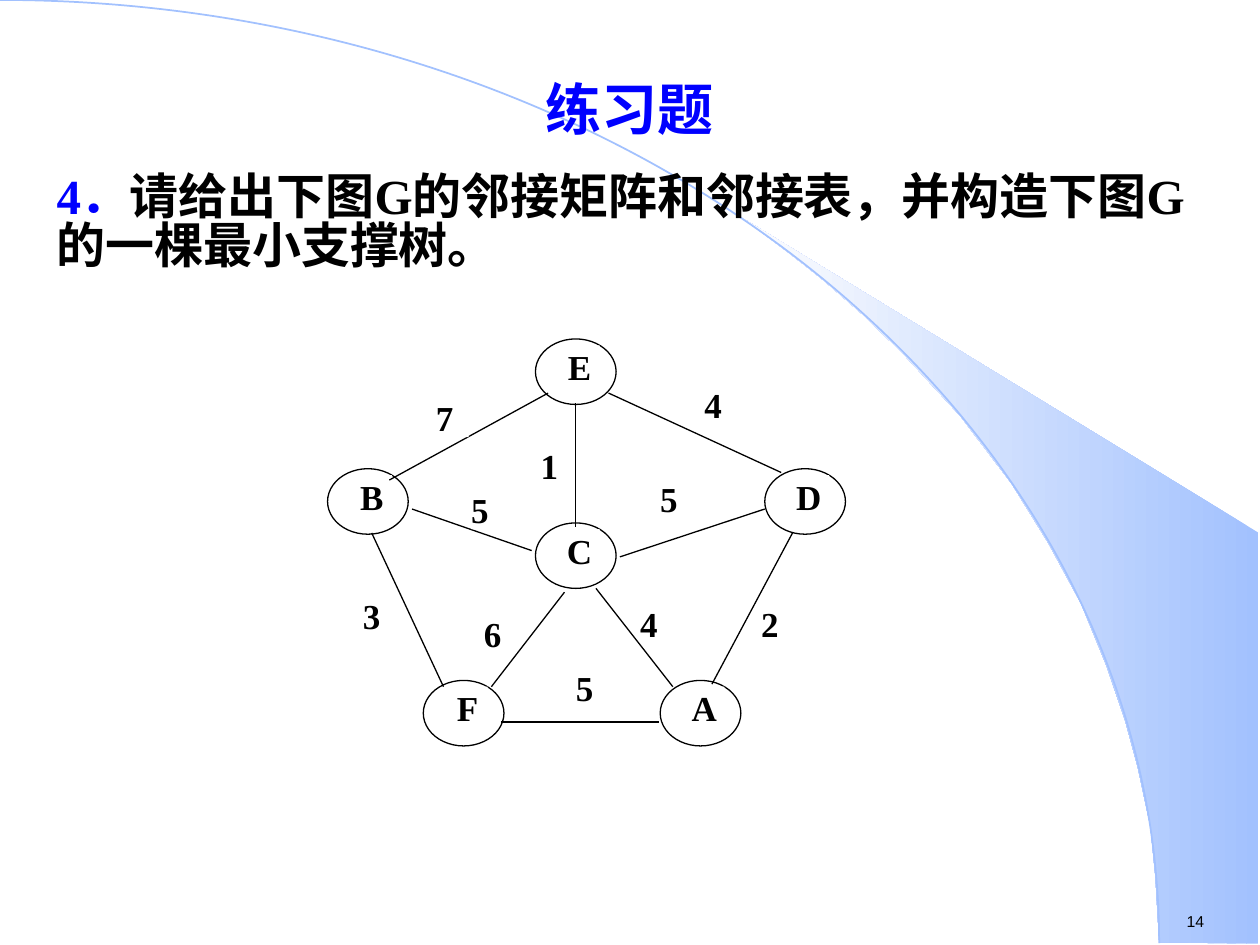
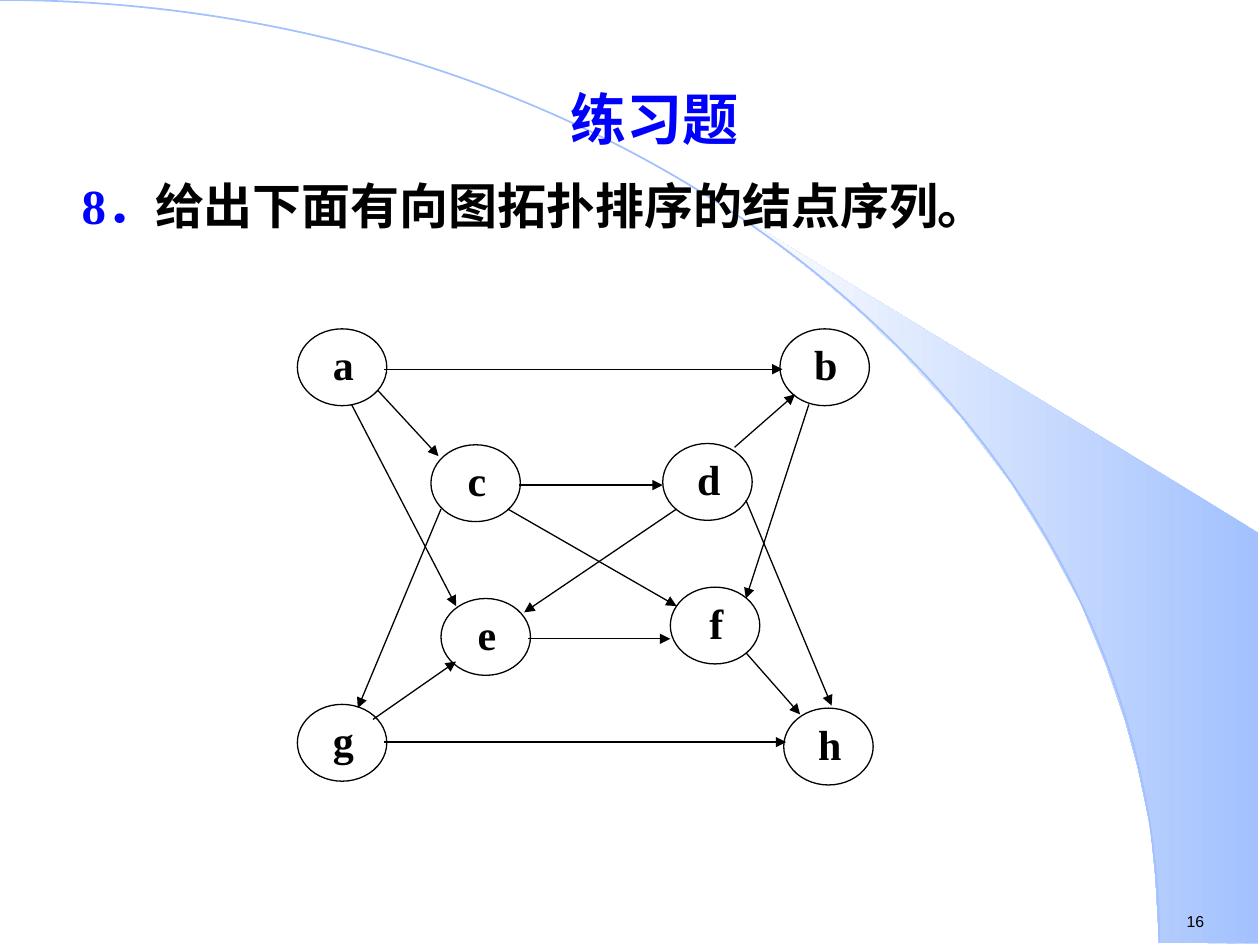
from lxml import etree
from pptx import Presentation
from pptx.dml.color import RGBColor
from pptx.enum.shapes import MSO_CONNECTOR, MSO_SHAPE
from pptx.enum.text import PP_ALIGN
from pptx.oxml.ns import qn
from pptx.util import Pt

PX = 9144  # 100 px to the inch
LINE = MSO_CONNECTOR.STRAIGHT
ARC, OVAL = MSO_SHAPE.ARC, MSO_SHAPE.OVAL
LEFT, CENTER = PP_ALIGN.LEFT, PP_ALIGN.CENTER
JUSTIFY = PP_ALIGN.JUSTIFY

COLORS = {"white": "FFFFFF", "ink": "000000", "title": "0000FF",
          "band": "A2C1FE", "band_end": "FEFEFE"}
SERIF, SANS, CJK = "Times New Roman", "Arial", "Noto Sans CJK SC"

BAND = [(920, 748), (999, 749), (999, 423), (589, 173), (624, 199),
        (653, 222), (685, 250), (716, 280), (762, 330), (803, 384),
        (832, 431), (858, 479), (878, 528), (893, 572), (903, 609),
        (913, 656), (917, 696)]

# Undirected graph: node corners, edges (x1, y1, x2, y2), weights (text, x, y)
G_NODES = {"E": (425, 269), "B": (260, 372), "C": (425, 415),
           "D": (607, 372), "F": (336, 540), "A": (524, 540)}
G_EDGES = [(435, 312, 309, 381), (457, 320, 457, 418), (483, 312, 620, 375),
           (629, 423, 565, 543), (295, 423, 352, 545), (523, 573, 398, 573),
           (473, 467, 534, 545), (448, 470, 390, 545), (327, 404, 422, 437),
           (492, 442, 607, 404)]
G_WEIGHTS = [("7", 346, 315), ("5", 457, 529), ("5", 524, 379),
             ("2", 604, 478), ("4", 559, 304), ("4", 508, 478),
             ("6", 384, 486), ("3", 288, 472), ("5", 374, 388),
             ("1", 429, 353)]

# Directed graph
D_NODES = {"a": (236, 261), "c": (342, 353), "e": (350, 475),
           "d": (526, 352), "f": (532, 466), "g": (236, 559),
           "h": (622, 562), "b": (619, 261)}
D_ARROWS = [(300, 310, 348, 362), (279, 321, 362, 481), (305, 293, 621, 293),
            (350, 404, 284, 562), (412, 385, 526, 385), (403, 404, 537, 481),
            (537, 404, 416, 486), (419, 507, 532, 507), (296, 571, 362, 525),
            (305, 589, 624, 589), (592, 397, 660, 560), (642, 321, 592, 475),
            (583, 355, 631, 313), (592, 518, 635, 567)]


def rgb(name):
    return RGBColor.from_string(COLORS[name])


def emu(*lengths):
    return [n * PX for n in lengths]


def set_font(font, size, name, bold=True, color=None):
    font.size, font.name, font.bold = Pt(size), name, bold
    if color:
        font.color.rgb = rgb(color)


def set_east_asian(p):
    """Name the typeface for Chinese characters, next to the Latin one."""
    latin = p.font._element.find(qn("a:latin"))
    ea = etree.Element(qn("a:ea"), typeface=CJK)
    latin.addnext(ea)


def add_label(slide, text, box, size, align, inset=0, name=SERIF, bold=True):
    sp = slide.shapes.add_textbox(*emu(*box))
    tf = sp.text_frame
    tf.word_wrap = True
    tf.margin_left = tf.margin_right = inset * PX
    tf.margin_top = tf.margin_bottom = inset * PX // 2
    p = tf.paragraphs[0]
    p.text, p.alignment = text, align
    set_font(p.font, size, name, bold, "ink")
    return sp


def add_plate(slide, text, box, size, align):
    """Label on a white ground that hides the lines behind it."""
    sp = add_label(slide, text, box, size, align)
    sp.fill.solid()
    sp.fill.fore_color.rgb = rgb("white")


def add_node(slide, letter, corner, size, plate, font_size):
    """Ellipse with a lettered plate, given as an offset and size inside it."""
    x, y = corner
    sp = slide.shapes.add_shape(OVAL, *emu(x, y, *size))
    sp.shadow.inherit = False
    sp.fill.solid()
    sp.fill.fore_color.rgb = rgb("white")
    sp.line.color.rgb = rgb("ink")
    sp.line.width = Pt(0.75)
    dx, dy, w, h = plate
    add_plate(slide, letter, (x + dx, y + dy, w, h), font_size, CENTER)


def add_edge(slide, ends, arrow=False):
    cxn = slide.shapes.add_connector(LINE, *emu(*ends))
    cxn.line.color.rgb = rgb("ink")
    cxn.line.width = Pt(0.75)
    if arrow:
        ln = cxn.line._get_or_add_ln()
        etree.SubElement(ln, qn("a:tailEnd"), type="triangle")
    etree.SubElement(cxn._element.spPr, qn("a:effectLst"))


def add_background(slide):
    builder = slide.shapes.build_freeform(*BAND[0], scale=PX)
    builder.add_line_segments(BAND[1:], close=True)
    band = builder.convert_to_shape()
    band.shadow.inherit = False
    band.line.fill.background()
    band.fill.gradient()
    band.fill.gradient_angle = 180
    for stop, color in zip(band.fill.gradient_stops, ("band", "band_end")):
        stop.color.rgb = rgb(color)
    for stop, position in zip(band.fill.gradient_stops, (0, 1)):
        stop.position = position

    arc = slide.shapes.add_shape(ARC, *emu(-920, 0, 1840, 1497))
    arc.shadow.inherit = False
    arc.fill.background()
    arc.line.color.rgb = rgb("band")
    arc.line.width = Pt(1)


def add_exercise(slide, box, number, question):
    sp = slide.shapes.add_textbox(*emu(*box))
    tf = sp.text_frame
    tf.word_wrap = True
    p = tf.paragraphs[0]
    p.text, p.alignment = "练习题", CENTER
    p.space_after, p.line_spacing = Pt(12), 0.9
    set_font(p.font, 32, CJK, color="title")
    set_east_asian(p)

    p = tf.add_paragraph()
    p.alignment = LEFT
    p.space_before, p.line_spacing = Pt(7), 0.83
    for text, color in ((number, "title"), (question, "ink")):
        r = p.add_run()
        r.text = text
        r.font.color.rgb = rgb(color)
    set_font(p.font, 28, SERIF)
    set_east_asian(p)


def add_exercise_slide(prs, page, box, number, question):
    slide = prs.slides.add_slide(prs.slide_layouts[6])
    add_background(slide)
    add_label(slide, page, (932, 719, 77, 25), 9, LEFT, inset=10,
              name=SANS, bold=False)
    add_exercise(slide, box, number, question)
    return slide


def main():
    prs = Presentation()
    prs.slide_width, prs.slide_height = emu(1000, 750)

    slide = add_exercise_slide(
        prs, "14", (35, 60, 929, 626), "4．",
        "请给出下图G的邻接矩阵和邻接表，并构造下图G的一棵最小支撑树。")
    for letter, corner in G_NODES.items():
        add_node(slide, letter, corner, (64, 52), (19, 5, 32, 38), 20)
    for ends in G_EDGES:
        add_edge(slide, ends)
    for weight, x, y in G_WEIGHTS:
        add_plate(slide, weight, (x, y, 26, 32), 20, JUSTIFY)

    slide = add_exercise_slide(
        prs, "16", (55, 68, 929, 618), "8．",
        "给出下面有向图拓扑排序的结点序列。")
    for letter, corner in D_NODES.items():
        add_node(slide, letter, corner, (71, 61), (23, 8, 27, 40), 24)
    for ends in D_ARROWS:
        add_edge(slide, ends, arrow=True)

    prs.save("out.pptx")


if __name__ == "__main__":
    main()
